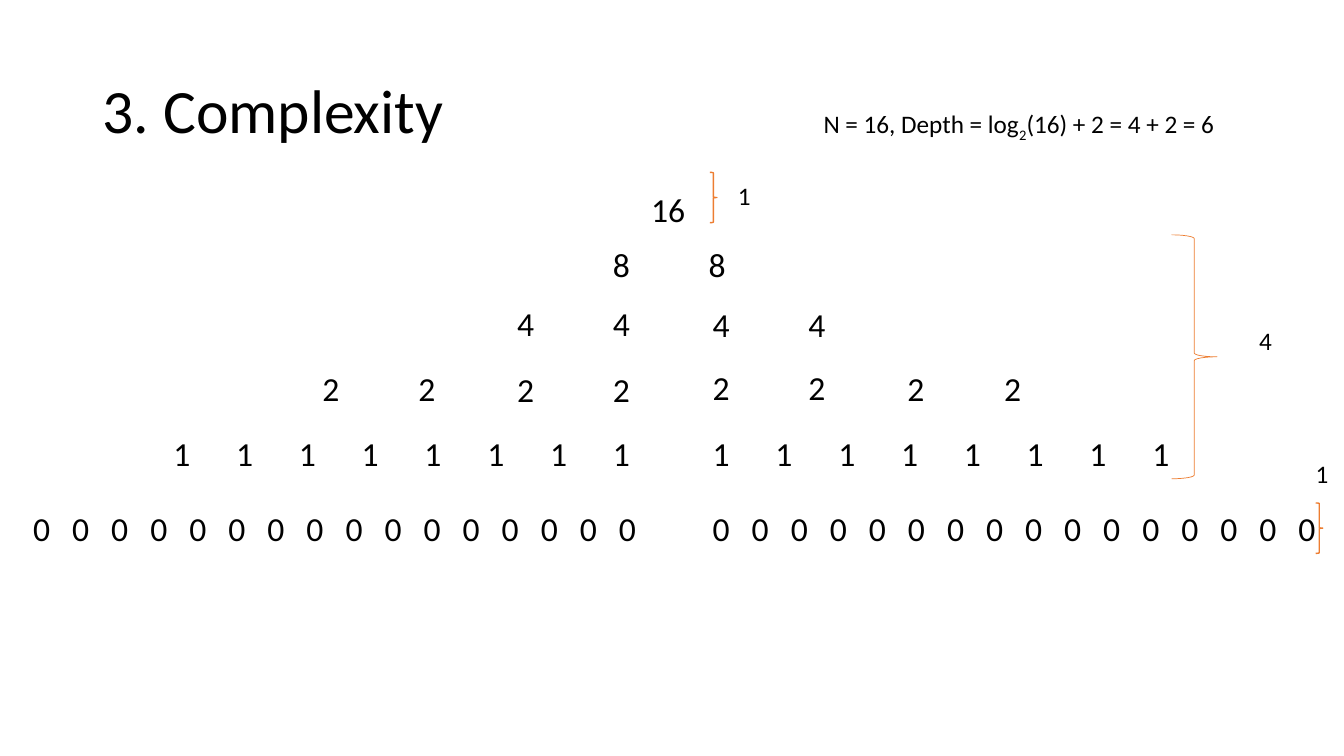
from dataclasses import dataclass

from pptx import Presentation, util as u
from pptx.dml import color
from pptx.enum import shapes, text

PX = u.Inches(1) // 100  # 100 px to the inch


@dataclass(frozen=True)
class Theme:
    font: str = "Calibri"
    ink: str = "000000"
    accent: str = "ED7D31"
    title: int = 44
    node: int = 24
    note: int = 18


THEME = Theme()
SLIDE_SIZE = (1333, 750)
NODE_SIZE = (48, 50)

TITLE = ("3. Complexity", (92, 40, 1150, 145))
# Formula parts: text, baseline shift in thousandths of a percent
FORMULA = [("N = 16, Depth = log", 0), ("2", -25000), ("(16) + 2 = 4 + 2 = 6", 0)]
FORMULA_AT = (807, 103, 433, 40)
ROOT = ("16", (636, 183, 69, 50))

# Recursion tree groups: value, top, first left, last left, count
GROUPS = [
    ("8", 237, 598, 693, 2),
    ("4", 296, 503, 598, 2),
    ("4", 297, 697, 792, 2),
    ("2", 360, 310, 405, 2),
    ("2", 361, 503, 598, 2),
    ("2", 359, 697, 792, 2),
    ("2", 360, 890, 986, 2),
    ("1", 425, 162, 598, 8),
    ("1", 425, 697, 1133, 8),
    ("0", 499, 23, 604, 16),
    ("0", 499, 697, 1278, 16),
]

# Level counts: label, label box, brace box, brace line width in points
LEVELS = [
    ("1", (722, 174, 39, 41), (704, 171, 7, 50), 1),
    ("4", (1239, 318, 39, 41), (1162, 233, 45, 242), 0.5),
    ("1", (1295, 450, 39, 41), (1305, 499, 7, 50), 1),
]


def emu(lengths):
    return [round(length * PX) for length in lengths]


def add_text(page, spans, at, size):
    """Add a text box with one paragraph of (text, baseline) spans."""
    box = page.shapes.add_textbox(*emu(at))
    box.text_frame.word_wrap = True
    para = box.text_frame.paragraphs[0]
    for words, baseline in spans:
        span = para.add_run()
        span.text = words
        span.font.name = THEME.font
        span.font.size = u.Pt(size)
        span.font.color.rgb = color.RGBColor.from_string(THEME.ink)
        if baseline:
            span.font._element.set("baseline", str(baseline))
    return box


def add_brace(page, at, width):
    brace = page.shapes.add_shape(shapes.MSO_SHAPE.RIGHT_BRACE, *emu(at))
    brace.shadow.inherit = False
    brace.fill.background()
    brace.line.color.rgb = color.RGBColor.from_string(THEME.accent)
    brace.line.width = u.Pt(width)


def add_group(page, value, top, first, last, count):
    """Spread equal nodes evenly from the first left edge to the last."""
    step = (last - first) / (count - 1)
    for index in range(count):
        at = (first + index * step, top, *NODE_SIZE)
        add_text(page, [(value, 0)], at, THEME.node)


def main():
    deck = Presentation()
    deck.slide_width, deck.slide_height = emu(SLIDE_SIZE)
    page = deck.slides.add_slide(deck.slide_layouts[6])

    words, at = TITLE
    title = add_text(page, [(words, 0)], at, THEME.title)
    title.text_frame.vertical_anchor = text.MSO_ANCHOR.MIDDLE
    title.text_frame.paragraphs[0].line_spacing = 0.9
    add_text(page, FORMULA, FORMULA_AT, THEME.note)

    value, at = ROOT
    add_text(page, [(value, 0)], at, THEME.node)
    for group in GROUPS:
        add_group(page, *group)

    for label, label_at, brace_at, width in LEVELS:
        add_brace(page, brace_at, width)
        add_text(page, [(label, 0)], label_at, THEME.note)

    deck.save("out.pptx")


if __name__ == "__main__":
    main()
